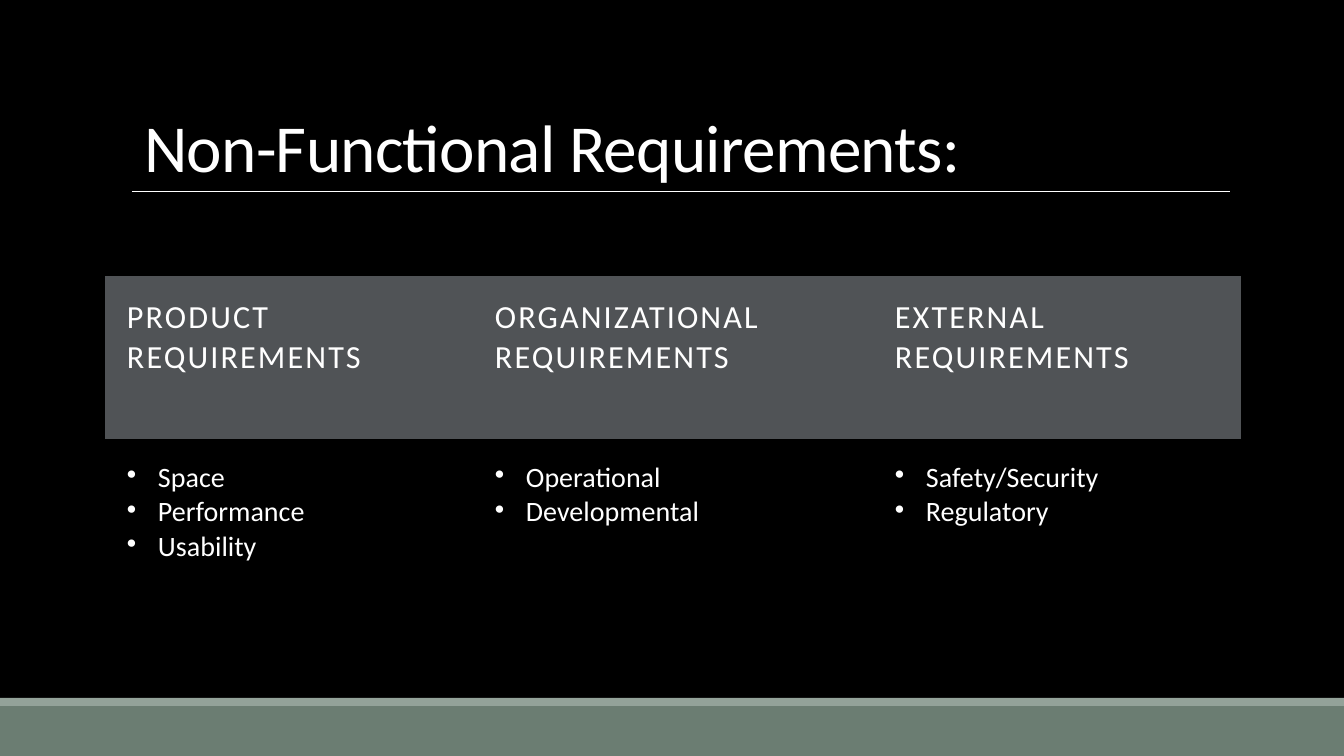
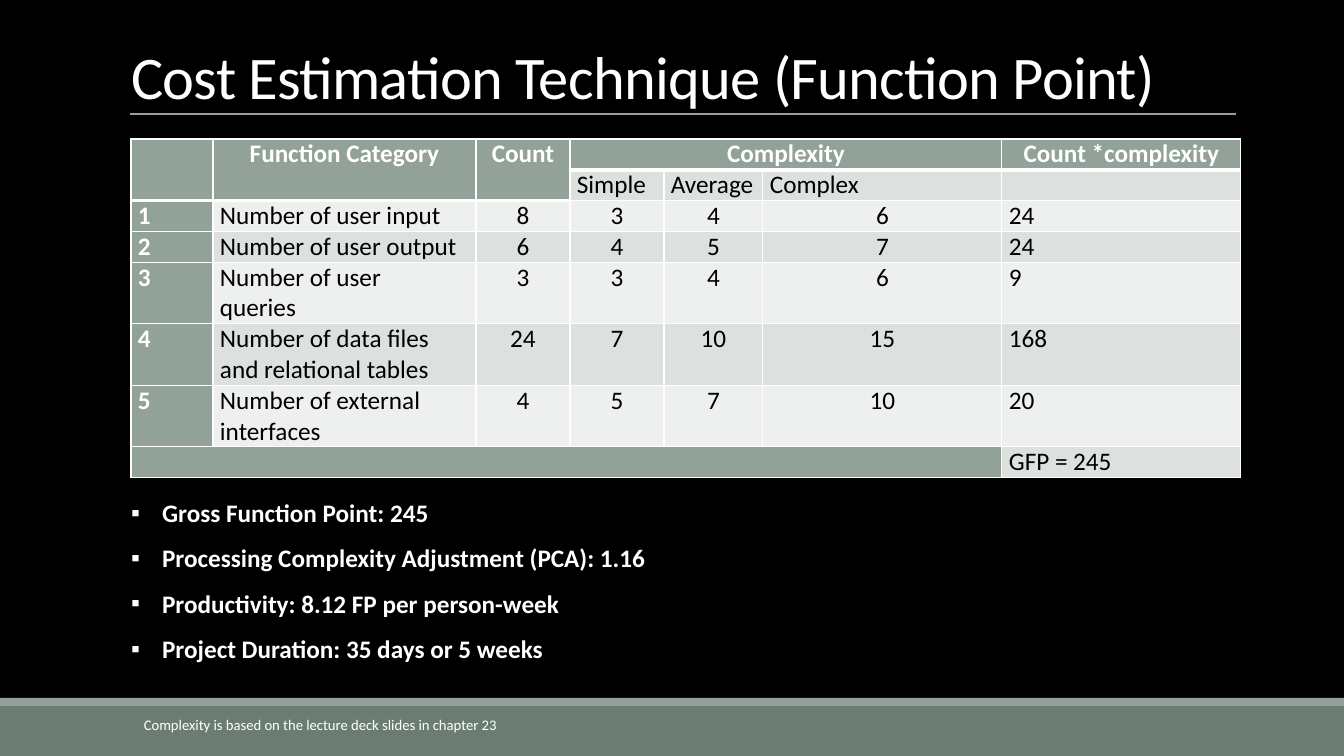
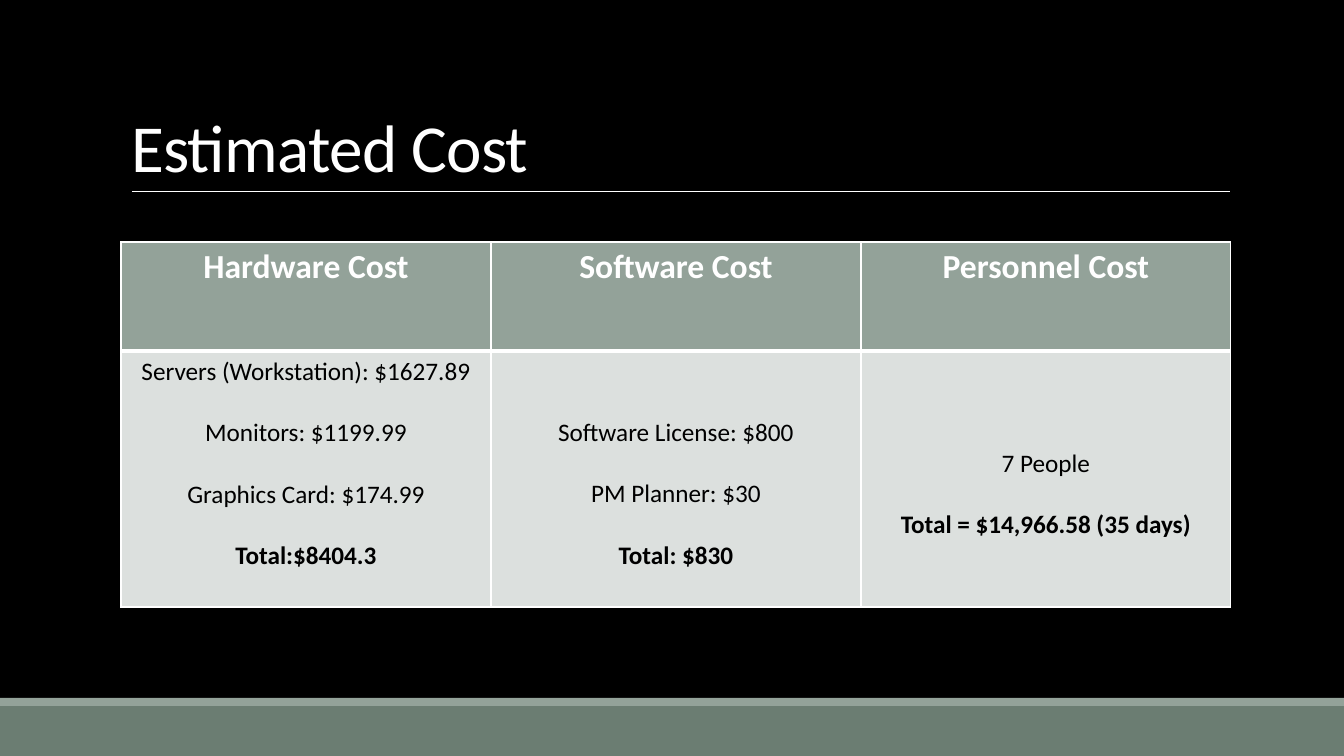
import dataclasses

import lxml.etree
import pptx
import pptx.dml.color
import pptx.enum.shapes
import pptx.enum.text
import pptx.oxml
import pptx.oxml.ns
import pptx.util

PX = 9071
RGB = pptx.dml.color.RGBColor.from_string
ALIGN = pptx.enum.text.PP_ALIGN
ANCHOR = pptx.enum.text.MSO_ANCHOR
qn = pptx.oxml.ns.qn


@dataclasses.dataclass(frozen=True)
class Theme:
    font: str = "Calibri"
    black: str = "000000"
    white: str = "FFFFFF"
    band: str = "6B7D72"
    sage: str = "93A299"
    slate: str = "505356"
    light: str = "EEF0EF"
    shade: str = "DCE0DE"
    title: float = 48
    long_title: float = 43.2
    cost_heading: float = 24
    group_heading: float = 23
    group_item: float = 20
    body: float = 18
    footnote: float = 10.5
    no_grid: str = "{2D5ABB26-0587-4C30-8999-92F81FD0307C}"


theme = Theme()


def style(paragraph, size, color, bold=False, align=ALIGN.LEFT, spacing=None, bullet=None):
    font = paragraph.font
    font.name, font.size, font.bold = theme.font, pptx.util.Pt(size), bold
    font.color.rgb = RGB(color)
    paragraph.alignment = align
    properties = font._element
    if spacing is not None:
        properties.set("spc", str(spacing))
    if bullet:
        properties.getparent().set("marL", str(31 * PX))
        properties.getparent().set("indent", str(-31 * PX))
        mark = lxml.etree.Element(qn("a:buChar"))
        mark.set("char", bullet)
        properties.addprevious(mark)


def paint(cell, fill, bottom=1):
    cell.fill.solid()
    cell.fill.fore_color.rgb = RGB(fill)
    for place, (side, width) in enumerate([("L", 1), ("R", 1), ("T", 1), ("B", bottom)]):
        edge = lxml.etree.Element(qn(f"a:ln{side}"), w=str(pptx.util.Pt(width)))
        solid = lxml.etree.SubElement(edge, qn("a:solidFill"))
        lxml.etree.SubElement(solid, qn("a:srgbClr"), val=theme.white)
        cell._tc.get_or_add_tcPr().insert(place, edge)


prs = pptx.Presentation()
prs.slide_width, prs.slide_height = 1344 * PX, 756 * PX
master = prs.slide_master
master.background.fill.solid()
master.background.fill.fore_color.rgb = RGB(theme.black)

pages = [
    ("Non-Functional Requirements:", theme.title, 5, (134, 88, 964, 103),
     (105, 276), (368, 400, 368), (163, 169)),
    ("Cost Estimation Technique (Function Point)", theme.long_title, 1, (121, 31, 1107, 86),
     (131, 139), (82, 263, 94, 94, 99, 239, 239), (30, 30, 30, 30, 61, 61, 61, 30)),
    ("Estimated Cost", theme.title, 5, (121, 31, 1109, 160),
     (121, 242), (370, 370, 370), (109, 256)),
]
slides, tables = [], []
for heading, size, layout, box, corner, widths, heights in pages:
    slide = prs.slides.add_slide(prs.slide_layouts[layout])
    title = slide.shapes.title
    title.left, title.top, title.width, title.height = (n * PX for n in box)
    title.text_frame.text = heading
    title.text_frame.auto_size = pptx.enum.text.MSO_AUTO_SIZE.NONE
    title.text_frame.vertical_anchor = ANCHOR.BOTTOM
    style(title.text_frame.paragraphs[0], size, theme.white, spacing=-50)
    title.text_frame.paragraphs[0].line_spacing = 0.85

    table = slide.shapes.add_table(
        len(heights), len(widths), corner[0] * PX, corner[1] * PX,
        sum(widths) * PX, sum(heights) * PX).table
    table._tbl.tblPr.find(qn("a:tableStyleId")).text = theme.no_grid
    table.first_row = table.horz_banding = False
    for column, width in zip(table.columns, widths):
        column.width = width * PX
    for row, height in zip(table.rows, heights):
        row.height = height * PX
    slides.append(slide)
    tables.append(table)

requirements_slide, points_slide, cost_slide = slides
requirements, points, costs = tables

shared = []
for top, height, color in [(706, 50, theme.band), (698, 8, theme.sage)]:
    band = requirements_slide.shapes.add_shape(
        pptx.enum.shapes.MSO_SHAPE.RECTANGLE, 0, top * PX, 1344 * PX, height * PX)
    band.shadow.inherit = False
    band.fill.solid()
    band.fill.fore_color.rgb = RGB(color)
    band.line.fill.background()
    shared.append(band)
for slide, left, right, top, color, weight in [
        (requirements_slide, 132, 1230, 191, theme.white, 0.5),
        (points_slide, 130, 1236, 114, theme.sage, 1)]:
    rule = slide.shapes.add_connector(
        pptx.enum.shapes.MSO_CONNECTOR.STRAIGHT, left * PX, top * PX, right * PX, top * PX)
    rule.line.color.rgb = RGB(color)
    rule.line.width = pptx.util.Pt(weight)
    lxml.etree.SubElement(rule._element.spPr, qn("a:effectLst"))
    if slide is requirements_slide:
        shared.append(rule)
for number, part in enumerate(shared, 101):
    part._element.xpath(".//p:cNvPr")[0].set("id", str(number))
    master.shapes._spTree.append(part._element)

groups = [
    ("PRODUCT REQUIREMENTS", ["Space", "Performance", "Usability"]),
    ("ORGANIZATIONAL REQUIREMENTS", ["Operational", "Developmental"]),
    ("EXTERNAL REQUIREMENTS", ["Safety/Security", "Regulatory"]),
]
for column, (heading, items) in enumerate(groups):
    head, body = requirements.cell(0, column), requirements.cell(1, column)
    for cell in (head, body):
        cell.margin_left = cell.margin_right = cell.margin_top = cell.margin_bottom = 22 * PX
    head.fill.solid()
    head.fill.fore_color.rgb = RGB(theme.slate)
    head.text = heading
    style(head.text_frame.paragraphs[0], theme.group_heading, theme.white, spacing=150)
    body.fill.background()
    body.text = "\n".join(items)
    for paragraph in body.text_frame.paragraphs:
        style(paragraph, theme.group_item, theme.white, bullet="•")

for first, last in [((0, 0), (1, 0)), ((0, 1), (1, 1)), ((0, 2), (1, 2)),
                    ((0, 3), (0, 5)), ((7, 0), (7, 5))]:
    points.cell(*first).merge(points.cell(*last))
point_rows = [
    ["", "Function Category", "Count", "Complexity", "", "", "Count *complexity"],
    ["", "", "", "Simple", "Average", "Complex", ""],
    ["1", "Number of user input", "8", "3", "4", "6", "24"],
    ["2", "Number of user output", "6", "4", "5", "7", "24"],
    ["3", "Number of user queries", "3", "3", "4", "6", "9"],
    ["4", "Number of data files and relational tables", "24", "7", "10", "15", "168"],
    ["5", "Number of external interfaces", "4", "5", "7", "10", "20"],
    ["", "", "", "", "", "", "GFP = 245"],
]
for r, texts in enumerate(point_rows):
    for c, text in enumerate(texts):
        cell = points.cell(r, c)
        cell.margin_left = cell.margin_right = 7 * PX
        cell.margin_top = cell.margin_bottom = 0
        if cell.is_spanned:
            continue
        heading = r == 0 or c == 0
        stripe = theme.shade if r % 2 else theme.light
        paint(cell, theme.sage if heading else stripe, 3 if r == 0 else 1)
        if c == 1 and r > 1:
            cell.margin_right = 16 * PX
        centred = r == 0 or (r > 1 and 2 <= c <= 5)
        cell.text = text
        style(cell.text_frame.paragraphs[0], theme.body,
              theme.white if heading else theme.black, heading,
              ALIGN.CENTER if centred else ALIGN.LEFT)

summary = points_slide.placeholders[1]
summary.left, summary.top, summary.width, summary.height = (n * PX for n in (121, 477, 563, 189))
summary.text_frame.text = "\n".join([
    "Gross Function Point: 245",
    "Processing Complexity Adjustment (PCA): 1.16",
    "Productivity: 8.12 FP per person-week",
    "Project Duration: 35 days or 5 weeks",
])
summary.text_frame.auto_size = pptx.enum.text.MSO_AUTO_SIZE.NONE
for paragraph in summary.text_frame.paragraphs:
    style(paragraph, theme.body, theme.white, True, bullet="▪")
    paragraph.line_spacing = 1.5
    paragraph.space_before = pptx.util.Pt(0)

footnote = points_slide.shapes.add_textbox(*(n * PX for n in (134, 711, 830, 28))).text_frame
footnote.word_wrap = True
footnote.text = "Complexity is based on the lecture deck slides in chapter 23"
style(footnote.paragraphs[0], theme.footnote, theme.white)

cost_columns = [
    ("Hardware Cost", ["Servers (Workstation): $1627.89", "Monitors: $1199.99",
                       "Graphics Card: $174.99", "Total:$8404.3"]),
    ("Software Cost", ["Software License: $800", "PM Planner: $30", "Total: $830"]),
    ("Personnel Cost", ["7 People", "Total = $14,966.58 (35 days)"]),
]
for column, (heading, entries) in enumerate(cost_columns):
    head, body = costs.cell(0, column), costs.cell(1, column)
    paint(head, theme.sage, 3)
    head.text = heading
    style(head.text_frame.paragraphs[0], theme.cost_heading, theme.white, True, ALIGN.CENTER)
    paint(body, theme.shade)
    body.text = "\n".join(entries)
    itemised = column == 0
    body.vertical_anchor = ANCHOR.TOP if itemised else ANCHOR.MIDDLE
    for paragraph in body.text_frame.paragraphs:
        style(paragraph, theme.body, theme.black, paragraph.text.startswith("Total"), ALIGN.CENTER)
        if itemised:
            paragraph.space_after = pptx.util.Pt(22)
        else:
            paragraph.line_spacing = 2.0

prs.save("out.pptx")
